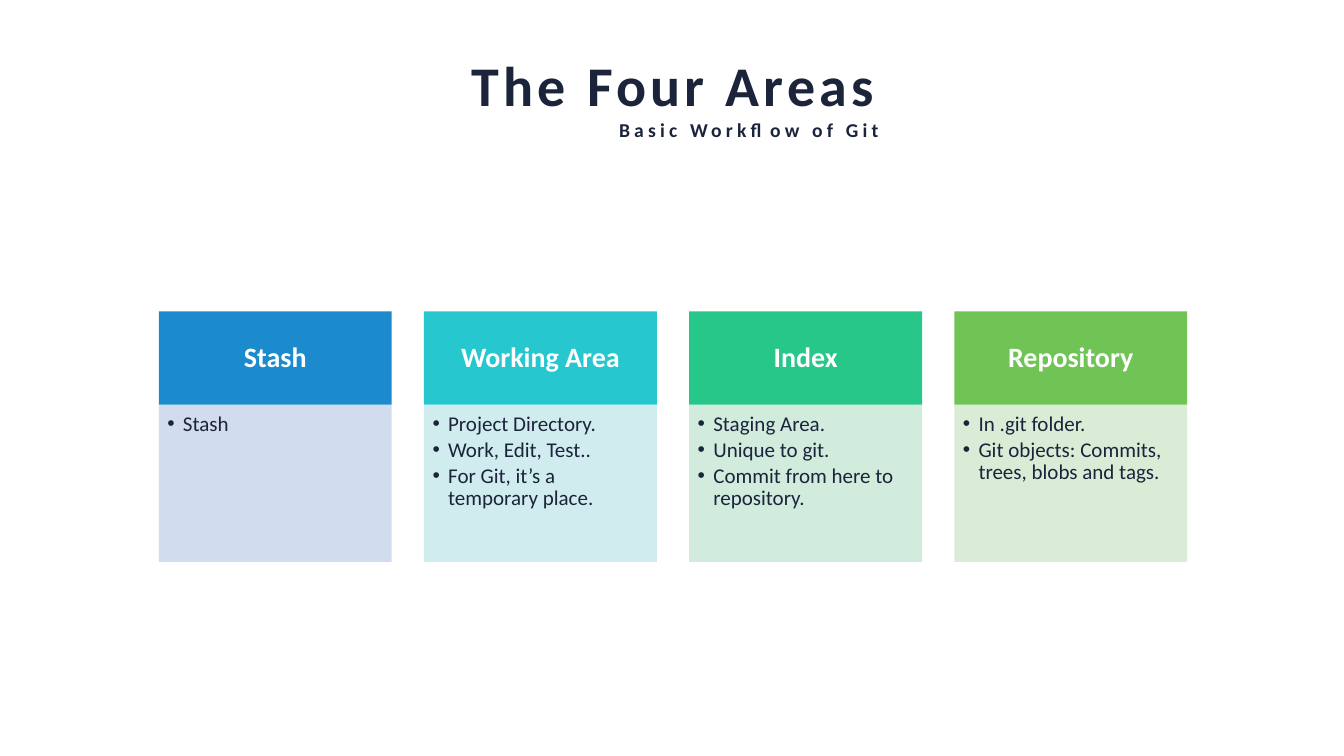
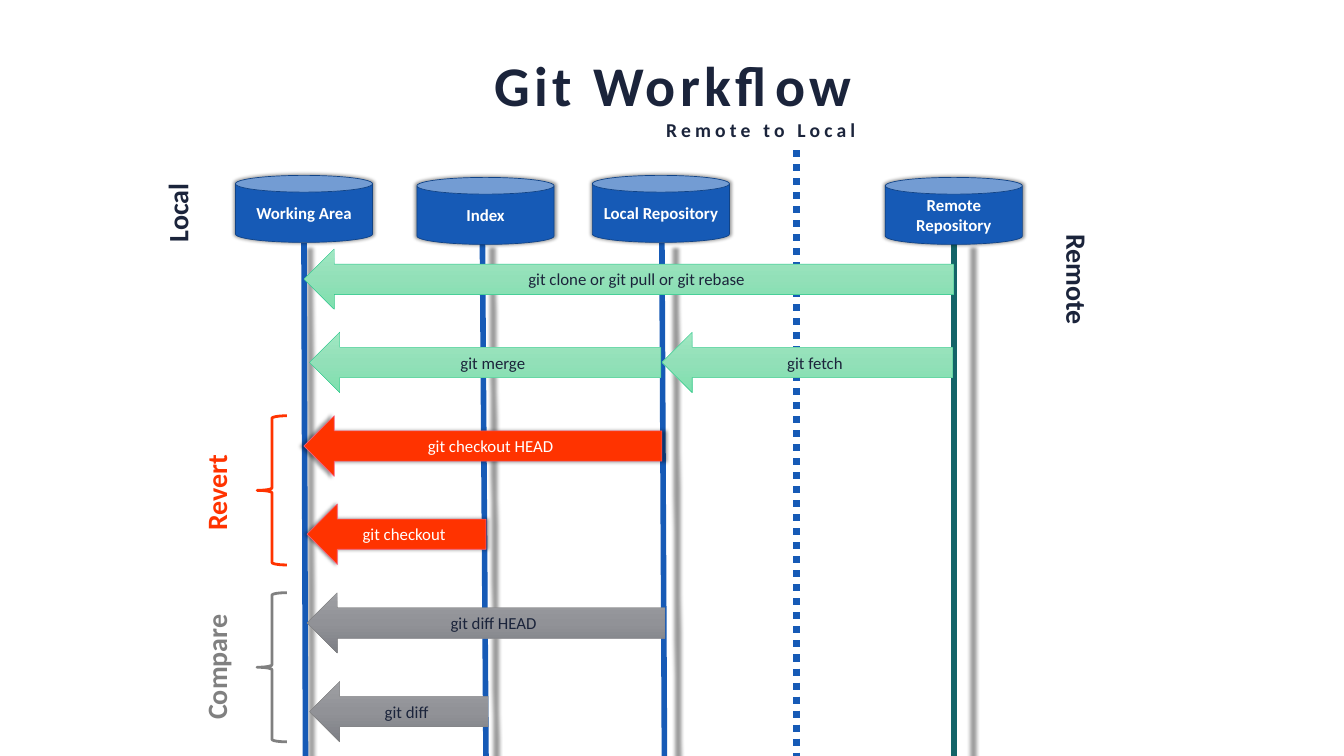
from copy import deepcopy
from dataclasses import dataclass

from lxml import etree
from pptx import Presentation
from pptx import util as u
from pptx.dml.color import RGBColor
from pptx.enum import dml, shapes, text
from pptx.oxml.ns import qn

Inches, Pt = u.Inches, u.Pt
KIND = shapes.MSO_SHAPE
ALIGN = text.PP_ALIGN
ANCHOR = text.MSO_ANCHOR
FONT = "Calibri"
HEX = {
    "ink": "1B243B", "white": "FFFFFF", "black": "000000",
    "blue": "165AB6", "navy": "104387", "teal": "146468",
    "red": "FF3300", "pink": "FA5C79", "gray": "808080", "green": "27C78A",
}
FADE = {
    "green": ("A0E7C2", "92E0B8", "7EE0AE"),
    "gray": ("9E9FA3", "919297", "7D7F85"),
}


@dataclass
class Area:
    name: str
    head: str
    body: str
    items: list[str]


@dataclass
class Store:
    name: str
    left: float
    top: float


@dataclass
class Lane:
    top: float
    foot: float
    color: str


@dataclass
class Arrow:
    label: str
    left: float
    top: float
    width: float
    tone: str


@dataclass
class Label:
    name: str
    left: float
    top: float
    width: float
    turn: int
    color: str


AREAS = [
    Area("Stash", "1B8BCD", "CDDAED", ["Stash"]),
    Area("Working Area", "27C7CF", "CDEBED",
         ["Project Directory.", "Work, Edit, Test..", "For Git, it’s a temporary place."]),
    Area("Index", "27C78A", "CDEBDA",
         ["Staging Area.", "Unique to git.", "Commit from here to repository."]),
    Area("Repository", "70C456", "D5EAD1",
         ["In .git folder.", "Git objects: Commits, trees, blobs and tags."]),
]
STORES = [
    Store("Working Area", 4.67, 3.48),
    Store("Index", 8.27, 3.52),
    Store("Local Repository", 11.75, 3.48),
    Store("Remote Repository", 17.56, 3.52),
]
LANES = [
    Lane(6.03, 6.06, "blue"),
    Lane(9.57, 9.64, "blue"),
    Lane(13.13, 13.18, "blue"),
    Lane(18.92, 18.92, "teal"),
]
ARROWS = [
    Arrow("git clone or git pull or git rebase", 6.03, 4.94, 12.89, "green"),
    Arrow("git fetch", 13.13, 6.59, 5.77, "green"),
    Arrow("git merge", 6.14, 6.59, 6.97, "green"),
    Arrow("git checkout HEAD", 6.03, 8.25, 7.1, "red"),
    Arrow("git checkout", 6.09, 10, 3.55, "red"),
    Arrow("git diff HEAD", 6.09, 11.76, 7.1, "gray"),
    Arrow("git diff", 6.14, 13.52, 3.55, "gray"),
]
LABELS = [
    Label("Local", 2.82, 3.82, 1.39, 270, "ink"),
    Label("Remote", 20.36, 5.17, 2.02, 90, "ink"),
    Label("Revert", 3.42, 9.38, 1.73, 270, "red"),
    Label("Compare", 3.13, 12.84, 2.31, 270, "gray"),
]
BRACES = [(8.25, "red"), (11.76, "gray")]


# Shared helpers
def rgb(name: str) -> RGBColor:
    return RGBColor.from_string(HEX.get(name, name))


def place(shape, left: float, top: float, width: float, height: float) -> None:
    shape.left, shape.top = Inches(left), Inches(top)
    shape.width, shape.height = Inches(width), Inches(height)


def style(part, size: float, color: str, bold: bool = False, align=None) -> None:
    part.alignment = align
    for run in part.runs:
        font = run.font
        font.name, font.size, font.bold = FONT, Pt(size), bold
        font.color.rgb = rgb(color)


def inset(frame, left: float, top: float, right: float, bottom: float) -> None:
    frame.margin_left, frame.margin_top = Inches(left), Inches(top)
    frame.margin_right, frame.margin_bottom = Inches(right), Inches(bottom)


def write(shape, words: str, size: float, color: str, bold: bool = False) -> None:
    frame = shape.text_frame
    frame.word_wrap = True
    frame.vertical_anchor = ANCHOR.MIDDLE
    frame.text = words
    style(frame.paragraphs[0], size, color, bold, ALIGN.CENTER)


def effects(shape, glow: bool) -> None:
    """Give the shape its own effect list, with a soft shadow if asked."""
    props = shape._element.spPr
    root = props.find(qn("a:effectLst"))
    if root is None:
        root = etree.SubElement(props, qn("a:effectLst"))
    if glow:
        shade = etree.SubElement(root, qn("a:outerShdw"), blurRad=str(Pt(5)),
                                 sx="102000", sy="102000", algn="ctr", rotWithShape="0")
        tint = etree.SubElement(shade, qn("a:srgbClr"), val=HEX["black"])
        etree.SubElement(tint, qn("a:alpha"), val="40000")


def draw(slide, kind, box: tuple, fill: str = "", line: str = "",
         weight: float = 1, glow: bool = False):
    shape = slide.shapes.add_shape(kind, *map(Inches, box))
    shape.shadow.inherit = False
    if fill:
        shape.fill.solid()
        shape.fill.fore_color.rgb = rgb(fill)
    else:
        shape.fill.background()
    if line:
        shape.line.color.rgb = rgb(line)
        shape.line.width = Pt(weight)
    else:
        shape.line.fill.background()
    effects(shape, glow)
    return shape


def fade(shape, tones: tuple) -> None:
    shape.fill.gradient()
    shape.fill.gradient_angle = 270
    stops = shape._element.spPr.find(".//" + qn("a:gsLst"))
    stops.insert(1, deepcopy(stops[0]))
    for step, (stop, tone) in enumerate(zip(shape.fill.gradient_stops, tones)):
        stop.color.rgb = rgb(tone)
        stop.position = step / 2


def rule(slide, top: tuple, foot: tuple, color: str, weight: float, glow: bool = False):
    line = slide.shapes.add_connector(shapes.MSO_CONNECTOR.STRAIGHT,
                                      *map(Inches, top + foot))
    line.line.color.rgb = rgb(color)
    line.line.width = Pt(weight)
    effects(line, glow)
    return line


def title(slide, head: str, sub: str, left: float, width: float) -> None:
    shape = slide.shapes.title
    place(shape, left, 0.95, width, 1.92)
    frame = shape.text_frame
    frame.text = f"{head}\n{sub}"
    frame.word_wrap = False
    frame.auto_size = text.MSO_AUTO_SIZE.SHAPE_TO_FIT_TEXT
    frame.vertical_anchor = ANCHOR.TOP
    inset(frame, 0.1, 0.05, 0.1, 0.05)
    looks = [(80, ALIGN.CENTER), (28, ALIGN.RIGHT)]
    for part, (size, align) in zip(frame.paragraphs, looks):
        style(part, size, "ink", True, align)
        part.space_before = Pt(0)
        for run in part.runs:
            run.font._element.set("spc", "600")


# Slide 1: four headed lists
def bullets(shape, area: Area) -> None:
    shape.fill.solid()
    shape.fill.fore_color.rgb = rgb(area.body)
    tint = shape._element.spPr.find(".//" + qn("a:srgbClr"))
    etree.SubElement(tint, qn("a:alpha"), val="90000")
    frame = shape.text_frame
    frame.text = "\n".join(area.items)
    frame.word_wrap = True
    frame.auto_size = text.MSO_AUTO_SIZE.NONE
    frame.vertical_anchor = ANCHOR.TOP
    inset(frame, 0.17, 0.17, 0.23, 0.26)
    for part in frame.paragraphs:
        style(part, 30, "ink", align=ALIGN.LEFT)
        part.level = 1
        part.line_spacing = 0.9
        part.space_before, part.space_after = Pt(0), Pt(4.5)
        props = part._p.get_or_add_pPr()
        props.set("marL", str(Inches(0.31)))
        props.set("indent", str(Inches(-0.31)))
        etree.SubElement(props, qn("a:buFont"), typeface="Arial")
        etree.SubElement(props, qn("a:buChar"), char="•")


def areas(deck) -> None:
    slide = deck.slides.add_slide(deck.slide_layouts[4])
    title(slide, "The Four Areas", "Basic Workflow of Git", 9.18, 8.35)
    for col, area in enumerate(AREAS):
        left = 3.15 + 5.26 * col
        head = draw(slide, KIND.RECTANGLE, (left, 6.18, 4.62, 1.85), area.head)
        write(head, area.name, 40, "white", True)
        head.text_frame.paragraphs[0].line_spacing = 0.9
        inset(head.text_frame, 0.31, 0.18, 0.31, 0.18)
        body = slide.placeholders[col + 1]
        place(body, left, 8.03, 4.62, 3.12)
        bullets(body, area)


# Slide 2: commands between the stores
def flow(deck) -> None:
    slide = deck.slides.add_slide(deck.slide_layouts[5])
    title(slide, "Git Workflow", "Remote to Local", 9.64, 7.43)

    # Border between local and remote, then the lanes
    edge = rule(slide, (15.8, 2.98), (15.8, 15), "blue", 10)
    edge.line.dash_style = dml.MSO_LINE.ROUND_DOT
    for lane in LANES:
        rule(slide, (lane.top, 4.82), (lane.foot, 15), lane.color, 8, True)

    # Stores
    for store in STORES:
        can = draw(slide, KIND.CAN, (store.left, store.top, 2.72, 1.33),
                   "blue", "navy", glow=True)
        write(can, store.name, 24, "white", True)

    # Commands
    for item in ARROWS:
        red = item.tone == "red"
        shape = draw(slide, KIND.LEFT_ARROW, (item.left, item.top, item.width, 1.2),
                     item.tone, "pink" if red else item.tone, 1 if red else 0.5, red)
        if not red:
            fade(shape, FADE[item.tone])
        write(shape, item.label, 24, "white" if red else "ink")

    # Braces and turned labels
    for top, color in BRACES:
        draw(slide, KIND.LEFT_BRACE, (5.1, top, 0.59, 2.96), line=color, weight=4)
    for label in LABELS:
        box = slide.shapes.add_textbox(
            *map(Inches, (label.left, label.top, label.width, 0.77)))
        box.rotation = label.turn
        frame = box.text_frame
        frame.text = label.name
        frame.word_wrap = False
        frame.auto_size = text.MSO_AUTO_SIZE.SHAPE_TO_FIT_TEXT
        style(frame.paragraphs[0], 40, label.color, True)


def main() -> None:
    deck = Presentation()
    deck.slide_width, deck.slide_height = Inches(26.66), Inches(15)
    areas(deck)
    flow(deck)
    deck.save("out.pptx")


if __name__ == "__main__":
    main()
